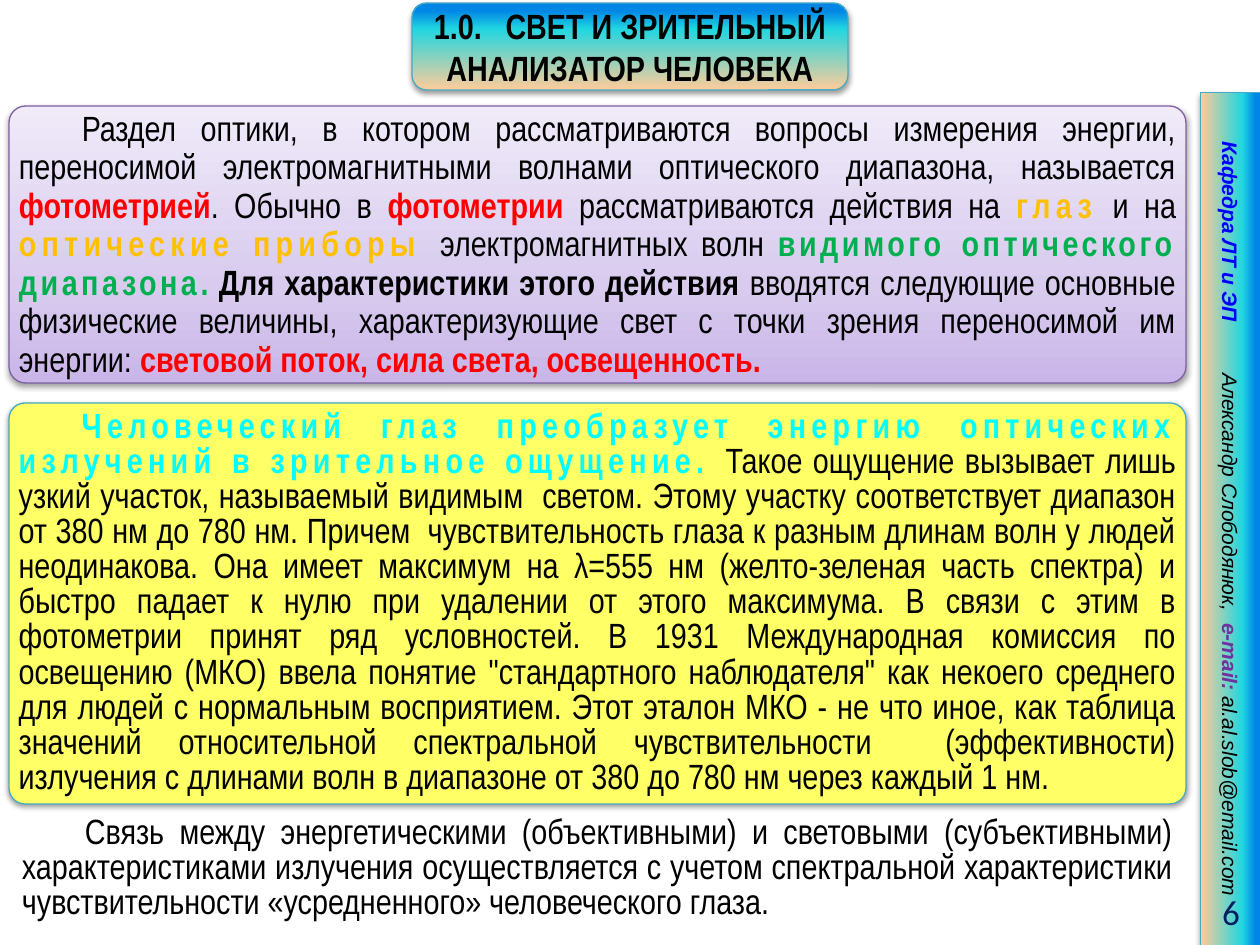
from dataclasses import dataclass

from lxml.etree import SubElement
from pptx import Presentation
from pptx.dml.color import RGBColor
from pptx.enum.shapes import MSO_SHAPE
from pptx.enum.text import MSO_ANCHOR, PP_ALIGN
from pptx.oxml import parse_xml
from pptx.oxml.ns import nsdecls, qn
from pptx.util import Pt

PX_PER_INCH = 126


def px(length):
    return round(length * 914400 / PX_PER_INCH)


@dataclass(frozen=True)
class RunStyle:
    color: str = "000000"
    bold: bool = False
    spacing: float = 0
    outline: float = 0
    outline_alpha: int = 100


@dataclass(frozen=True)
class Theme:
    narrow: str = "Arial Narrow"
    sans: str = "Arial"
    number: str = "Calibri"
    text_size: int = 20
    side_size: int = 12
    teal: str = "46AAC5"
    purple: str = "7D60A0"
    yellow: str = "FFFF66"
    sunset: tuple = ((0, "FFCC99"), (70, "21D6E0"), (91, "0087E6"))
    lilac: tuple = ((0, "C9B5E8"), (35, "D8CBEE"), (100, "F0EAF9"))
    plain: RunStyle = RunStyle()
    strong: RunStyle = RunStyle(bold=True)
    term: RunStyle = RunStyle("FF0000", True, 0, 0.07, 55)
    amber: RunStyle = RunStyle("FFC000", True, 3, 1)
    green: RunStyle = RunStyle("00B050", True, 2, 1)
    green_stop: RunStyle = RunStyle("00B050", True, 0, 1)
    cyan: RunStyle = RunStyle("00FFFF", True, 3, 1)
    department: RunStyle = RunStyle("0000FF", True)
    contact: RunStyle = RunStyle("7030A0", True)
    page: RunStyle = RunStyle("002060")
    title_gap: RunStyle = RunStyle(bold=True, spacing=9)
    side_gap: RunStyle = RunStyle(spacing=26)


class SlideBuilder:
    def __init__(self, slide, theme):
        self.slide = slide
        self.theme = theme

    def panel(self, box, fill, line, radius=None, rotation=0):
        """Add a shadowed rectangle, rounded when a radius is given."""
        kind = MSO_SHAPE.RECTANGLE if radius is None else MSO_SHAPE.ROUNDED_RECTANGLE
        shape = self.slide.shapes.add_shape(kind, *map(px, box))
        if radius is not None:
            shape.adjustments[0] = radius
        shape.rotation = rotation
        if isinstance(fill, str):
            shape.fill.solid()
            shape.fill.fore_color.rgb = RGBColor.from_string(fill)
        else:
            self.gradient(shape, fill)
        shape.line.color.rgb = RGBColor.from_string(line)
        shape.line.width = Pt(0.75)
        self.shadow(shape)
        return shape

    def gradient(self, shape, stops):
        """Fill from the bottom edge upwards."""
        shape.fill.gradient()
        gradient = shape._element.spPr.find(qn("a:gradFill"))
        stop_list = gradient.find(qn("a:gsLst"))
        for stop in list(stop_list):
            stop_list.remove(stop)
        for percent, color in stops:
            stop = SubElement(stop_list, qn("a:gs"), pos=str(percent * 1000))
            SubElement(stop, qn("a:srgbClr"), val=color)
        shape.fill.gradient_angle = 90

    def shadow(self, shape):
        shape.shadow.inherit = False
        effects = shape._element.spPr.find(qn("a:effectLst"))
        shadow = SubElement(effects, qn("a:outerShdw"), blurRad=str(Pt(3.1)),
                            dist=str(Pt(1.6)), dir="5400000", rotWithShape="0")
        color = SubElement(shadow, qn("a:srgbClr"), val="000000")
        SubElement(color, qn("a:alpha"), val="38000")

    def text_box(self, box):
        return self.slide.shapes.add_textbox(*map(px, box))

    def set_text(self, shape, runs, align, font=None, size=None, leading=None,
                 inset=(13, 6), indent=0, italic=False, anchor=MSO_ANCHOR.MIDDLE):
        frame = shape.text_frame
        frame.word_wrap = True
        frame.vertical_anchor = anchor
        frame.margin_left = frame.margin_right = px(inset[0])
        frame.margin_top = frame.margin_bottom = px(inset[1])
        paragraph = frame.paragraphs[0]
        paragraph.alignment = align
        if leading:
            paragraph.line_spacing = Pt(leading)
        if indent:
            paragraph._p.get_or_add_pPr().set("indent", str(px(indent)))
        paragraph.font.name = font or self.theme.narrow
        paragraph.font.size = Pt(size or self.theme.text_size)
        paragraph.font.italic = italic
        for text, style in runs:
            self.styled_run(paragraph, text, style)

    def styled_run(self, paragraph, text, style):
        run = paragraph.add_run()
        run.text = text
        run.font.bold = style.bold
        run.font.color.rgb = RGBColor.from_string(style.color)
        properties = run._r.get_or_add_rPr()
        if style.spacing:
            properties.set("spc", str(round(style.spacing * 100)))
        if style.outline:
            properties.insert(0, parse_xml(
                f'<a:ln {nsdecls("a")} w="{Pt(style.outline)}"><a:solidFill>'
                f'<a:srgbClr val="000000"><a:alpha val="{style.outline_alpha * 1000}"/>'
                '</a:srgbClr></a:solidFill></a:ln>'))

    def body(self, shape, runs, leading, **options):
        self.set_text(shape, runs, PP_ALIGN.JUSTIFY, leading=leading, indent=63, **options)


def main():
    presentation = Presentation()
    presentation.slide_width = px(1260)
    presentation.slide_height = px(945)
    theme = Theme()
    builder = SlideBuilder(presentation.slides.add_slide(presentation.slide_layouts[6]), theme)
    tight = (5, 5)

    sidebar = builder.panel((804, 489, 853, 60), theme.sunset, theme.teal, rotation=90)
    builder.set_text(sidebar, [
        ("Кафедра ЛТ и ЭП", theme.department),
        (" ", theme.side_gap),
        ("Александр Слободянюк,  ", theme.plain),
        ("e-mail: ", theme.contact),
        ("al.al.slob@email.com", theme.plain),
    ], PP_ALIGN.CENTER, theme.sans, theme.side_size, italic=True)

    page_number = builder.text_box((1116, 886, 137, 50))
    builder.set_text(page_number, [("6", theme.page)], PP_ALIGN.RIGHT, theme.number)

    title = builder.panel((412, 3, 436, 87), theme.sunset, theme.teal, radius=0.17)
    builder.set_text(title, [
        ("1.0.", theme.strong),
        (" ", theme.title_gap),
        ("СВЕТ И ЗРИТЕЛЬНЫЙ АНАЛИЗАТОР ЧЕЛОВЕКА", theme.strong),
    ], PP_ALIGN.CENTER, leading=24, inset=tight)

    photometry = builder.panel((9, 106, 1177, 277), theme.lilac, theme.purple, radius=0.06)
    builder.body(photometry, [
        ("Раздел оптики, в котором рассматриваются вопросы измерения энергии, "
         "переносимой электромагнитными волнами оптического диапазона, называется ", theme.plain),
        ("фотометрией", theme.term),
        (". Обычно в ", theme.plain),
        ("фотометрии ", theme.term),
        ("рассматриваются действия на ", theme.plain),
        ("глаз", theme.amber),
        (" и на ", theme.plain),
        ("оптические приборы ", theme.amber),
        ("электромагнитных волн ", theme.plain),
        ("видимого оптического диапазона", theme.green),
        (". ", theme.green_stop),
        ("Для характеристики этого действия ", theme.strong),
        ("вводятся следующие основные физические величины, характеризующие свет "
         "с точки зрения переносимой им энергии: ", theme.plain),
        ("световой поток, сила света, освещенность.", theme.term),
    ], leading=22, inset=tight)

    human_eye = builder.panel((9, 403, 1177, 401), theme.yellow, theme.teal, radius=0.04)
    builder.body(human_eye, [
        ("Человеческий глаз преобразует энергию оптических излучений "
         "в зрительное ощущение. ", theme.cyan),
        ("Такое ощущение вызывает лишь узкий участок, называемый видимым  светом. "
         "Этому участку соответствует диапазон от 380 нм до 780 нм. "
         "Причем  чувствительность глаза к разным длинам волн у людей неодинакова. "
         "Она имеет максимум на λ=555 нм (желто-зеленая часть спектра) и быстро падает "
         "к нулю при удалении от этого максимума. В связи с этим в фотометрии принят "
         "ряд условностей. В 1931 Международная комиссия по освещению (МКО) ввела понятие "
         "\"стандартного наблюдателя\" как некоего среднего для людей с нормальным "
         "восприятием. Этот эталон МКО - не что иное, как таблица значений относительной "
         "спектральной чувствительности  (эффективности) излучения с длинами волн "
         "в диапазоне от 380 до 780 нм через каждый 1 нм.", theme.plain),
    ], leading=20, inset=tight)

    conclusion = builder.text_box((9, 810, 1177, 118))
    builder.body(conclusion, [
        ("Связь между энергетическими (объективными) и световыми (субъективными) "
         "характеристиками излучения осуществляется с учетом спектральной характеристики "
         "чувствительности «усредненного» человеческого глаза.", theme.plain),
    ], leading=20, anchor=MSO_ANCHOR.TOP)

    presentation.save("out.pptx")


if __name__ == "__main__":
    main()
